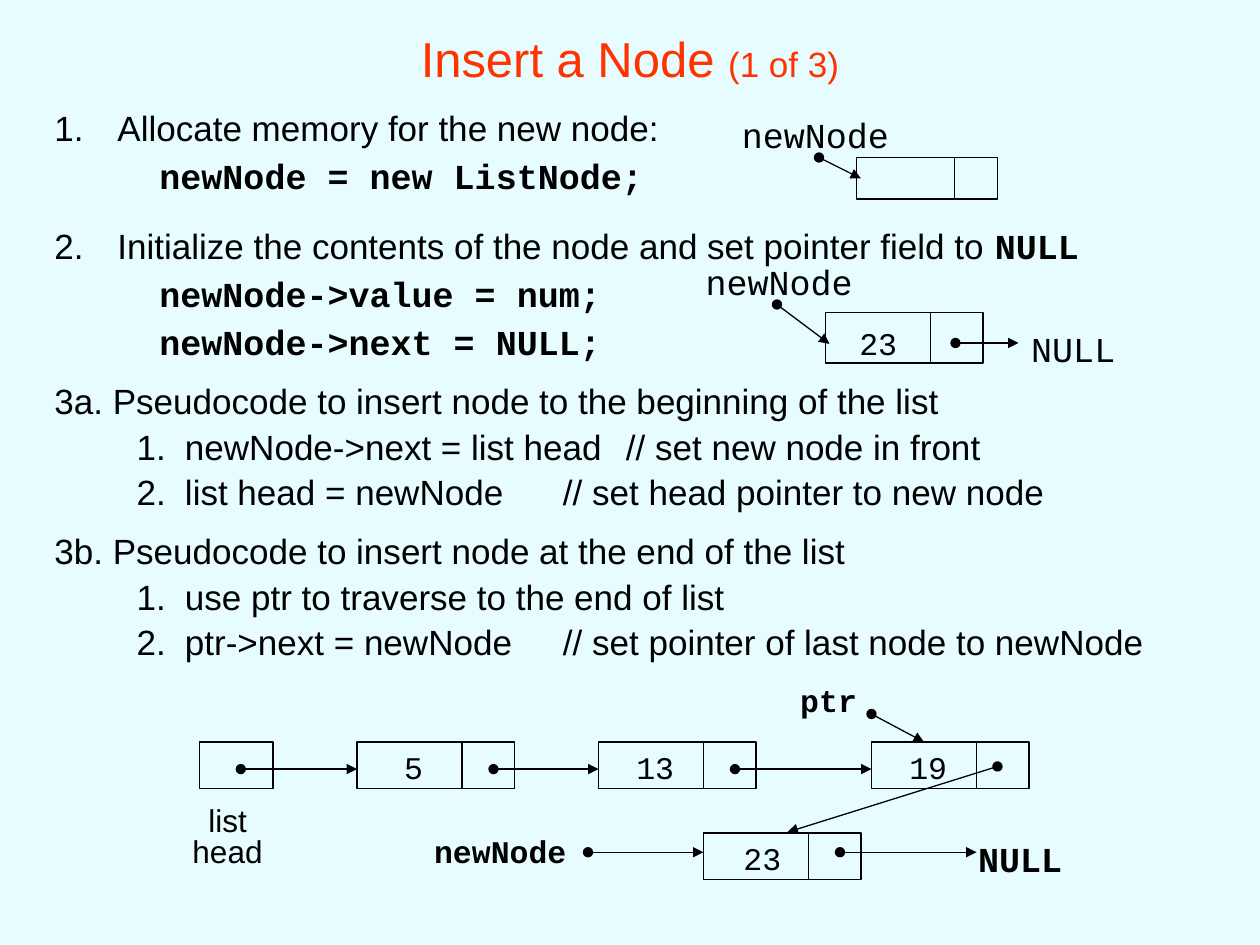
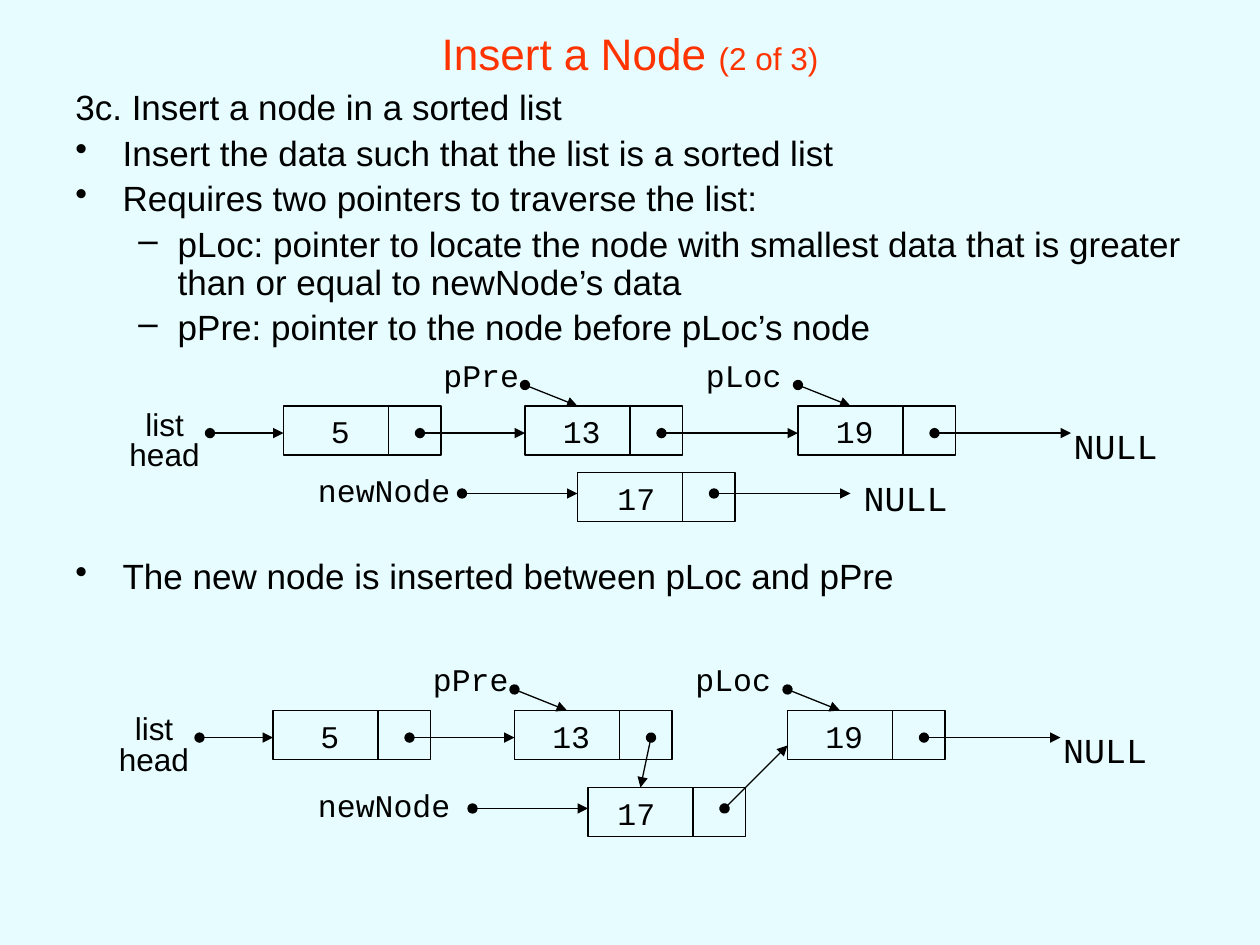
from dataclasses import dataclass
from typing import Optional

from lxml import etree
from pptx import Presentation
from pptx import util as u
from pptx.dml.color import RGBColor
from pptx.enum import shapes, text
from pptx.oxml import ns

COLORS = {"background": "E6FCFE", "title": "FF3300", "ink": "000000"}
SANS, MONO = "Arial", "Courier New"
LINK_OFFSET, LINK_CENTER, ARROW_DROP = 60, 78, 15.5
CHAIN_OFFSETS = (0, 138, 294)
NODE_VALUES = ("5", "13", "19")


@dataclass
class Run:
    text: str
    font: str = SANS
    size: float = 20
    bold: bool = False
    color: str = "ink"


@dataclass
class Line:
    runs: list[Run]
    margin: float = 0
    indent: float = 0
    before: float = 4.5
    spacing: float = 0.9
    bullet: str = ""
    number: int = 0
    tab: float = 0
    align: Optional[text.PP_ALIGN] = None


@dataclass
class Label:
    text: str
    left: float
    top: float
    width: float
    height: float = 24
    size: float = 18
    font: str = MONO
    bold: bool = False
    spacing: float = 0.8
    before: float = 0


@dataclass
class Node:
    left: float
    top: float
    height: float
    value: str = ""
    value_center: float = 32.4
    value_drop: float = 0
    width: float = 90
    link: float = LINK_OFFSET


def rgb(name: str) -> RGBColor:
    return RGBColor.from_string(COLORS[name])


def apply(target, values: dict) -> None:
    for name, value in values.items():
        setattr(target, name, value)


def add_run(paragraph, part: Run) -> None:
    run = paragraph.add_run()
    run.text = part.text
    apply(run.font, {"name": part.font, "size": u.Pt(part.size), "bold": part.bold})
    run.font.color.rgb = rgb(part.color)


def add_lines(frame, lines: list[Line]) -> None:
    for index, line in enumerate(lines):
        paragraph = frame.add_paragraph() if index else frame.paragraphs[0]
        apply(paragraph, {"line_spacing": line.spacing, "space_before": u.Pt(line.before),
                          "alignment": line.align})
        properties = paragraph._p.get_or_add_pPr()
        properties.set("marL", str(u.Pt(line.margin)))
        properties.set("indent", str(u.Pt(line.indent)))
        if line.number:
            etree.SubElement(properties, ns.qn("a:buAutoNum"), type="arabicPeriod",
                             startAt=str(line.number))
        elif line.bullet:
            etree.SubElement(properties, ns.qn("a:buChar"), char=line.bullet)
        else:
            etree.SubElement(properties, ns.qn("a:buNone"))
        if line.tab:
            tabs = etree.SubElement(properties, ns.qn("a:tabLst"))
            etree.SubElement(tabs, ns.qn("a:tab"), pos=str(u.Pt(line.tab)), algn="l")
        for part in line.runs:
            add_run(paragraph, part)


def add_title_slide(presentation, part: str, size: float, part_size: float, height: float):
    slide = presentation.slides.add_slide(presentation.slide_layouts[5])
    title = slide.shapes.title
    apply(title, {"left": u.Pt(36), "top": u.Pt(12), "width": u.Pt(648), "height": u.Pt(height)})
    apply(title.text_frame, {"vertical_anchor": text.MSO_ANCHOR.MIDDLE, "word_wrap": True,
                             "auto_size": text.MSO_AUTO_SIZE.NONE})
    add_lines(title.text_frame, [Line(
        [Run("Insert a Node ", size=size, color="title"), Run(part, size=part_size, color="title")],
        before=0, spacing=1.0, align=text.PP_ALIGN.CENTER)])
    return slide


def add_body(slide, left: float, top: float, width: float, height: float,
             lines: list[Line]) -> None:
    box = slide.shapes.add_textbox(u.Pt(left), u.Pt(top), u.Pt(width), u.Pt(height))
    box.text_frame.word_wrap = True
    add_lines(box.text_frame, lines)


def add_label(slide, label: Label) -> None:
    box = slide.shapes.add_textbox(u.Pt(label.left), u.Pt(label.top),
                                   u.Pt(label.width), u.Pt(label.height))
    box.text_frame.word_wrap = False
    add_lines(box.text_frame, [
        Line([Run(row, label.font, label.size, label.bold)], before=label.before,
             spacing=label.spacing, align=text.PP_ALIGN.CENTER)
        for row in label.text.split("\n")])


def add_null(slide, left: float, top: float, bold: bool = False) -> None:
    add_label(slide, Label("NULL", left, top, 63, size=20, bold=bold, spacing=1.2, before=2))


def add_list_head(slide, left: float, top: float) -> None:
    add_label(slide, Label("list\nhead", left, top, 68, 35, font=SANS))


def add_cell(slide, left: float, top: float, width: float, height: float) -> None:
    cell = slide.shapes.add_shape(shapes.MSO_SHAPE.RECTANGLE, u.Pt(left), u.Pt(top),
                                  u.Pt(width), u.Pt(height))
    cell.shadow.inherit = False
    cell.fill.background()
    cell.line.color.rgb = rgb("ink")
    cell.line.width = u.Pt(0.75)


def add_node(slide, node: Node) -> None:
    add_cell(slide, node.left, node.top, node.link, node.height)
    add_cell(slide, node.left + node.link, node.top, node.width - node.link, node.height)
    if node.value:
        add_label(slide, Label(node.value, node.left + node.value_center - 21.5,
                               node.top + node.value_drop, 43, spacing=1.0))


def add_arrow(slide, x1: float, y1: float, x2: float, y2: float) -> None:
    arrow = slide.shapes.add_connector(shapes.MSO_CONNECTOR.STRAIGHT, u.Pt(x1), u.Pt(y1),
                                       u.Pt(x2), u.Pt(y2))
    arrow.line.color.rgb = rgb("ink")
    arrow.line.width = u.Pt(0.75)
    outline = arrow.line._get_or_add_ln()
    etree.SubElement(outline, ns.qn("a:headEnd"), type="oval")
    etree.SubElement(outline, ns.qn("a:tailEnd"), type="triangle")
    etree.SubElement(arrow._element.spPr, ns.qn("a:effectLst"))


def add_chain(slide, left: float, top: float, height: float, links: int = 2) -> list[float]:
    lefts = [left + offset for offset in CHAIN_OFFSETS]
    for node_left, value in zip(lefts, NODE_VALUES):
        add_node(slide, Node(node_left, top, height, value))
    for start, end in list(zip(lefts, lefts[1:]))[:links]:
        add_arrow(slide, start + LINK_CENTER, top + ARROW_DROP, end, top + ARROW_DROP)
    return lefts


def add_sorted_list(slide, left: float, top: float, links: int = 2) -> None:
    first, middle, last = add_chain(slide, left, top, 28, links)
    level = top + ARROW_DROP
    add_list_head(slide, first - 102, top)
    add_arrow(slide, first - 42, level, first, level)
    add_arrow(slide, last + LINK_CENTER, level, last + 156, level)
    add_null(slide, last + 150, top + 2)
    for name, node_left, gap in (("pPre", middle, 54), ("pLoc", last, 60)):
        add_label(slide, Label(name, node_left - gap, top - 28, 58))
        add_arrow(slide, node_left, top - 12, node_left + 30, top)


def add_new_node(slide, left: float, top: float, value_center: float) -> None:
    add_node(slide, Node(left, top, 28, "17", value_center))
    add_label(slide, Label("newNode", 162, top, 115))
    add_arrow(slide, left - 66, top + 12, left, top + 12)


def item(content: str, number: int, before: float, *extra: Run) -> Line:
    return Line([Run(content), *extra], 36, -36, before, number=number)


def code(content: str) -> Line:
    return Line([Run(content, MONO, bold=True)], 60, before=6)


def heading(content: str, before: float = 12) -> Line:
    return Line([Run(content)], before=before)


def step(content: str, tab: float = 0) -> Line:
    return Line([Run(content)], 74.6, -27.6, tab=tab)


def bullet(content: str, before: float = 4.5) -> Line:
    return Line([Run(content)], 27, -27, before, bullet="•")


def dash(content: str) -> Line:
    return Line([Run(content)], 58.5, -22.5, bullet="–")


def build_ends_slide(presentation) -> None:
    slide = add_title_slide(presentation, "(1 of 3)", 28, 20, 42)
    add_body(slide, 24, 60, 672, 324, [
        item("Allocate memory for the new node:", 1, 0),
        code("newNode = new ListNode;"),
        item("Initialize the contents of the node and set pointer field to ", 2, 18,
             Run("NULL", MONO, bold=True)),
        code("newNode->value = num;"),
        code("newNode->next = NULL;"),
        heading("3a. Pseudocode to insert node to the beginning of the list"),
        step("1.\tnewNode->next = list head\t// set new node in front", 346),
        step("2.\tlist head = newNode\t// set head pointer to new node", 346),
        heading("3b. Pseudocode to insert node at the end of the list"),
        step("1.\tuse ptr to traverse to the end of list"),
        step("2.\tptr->next = newNode\t// set pointer of last node to newNode", 284),
    ])

    add_node(slide, Node(489.6, 90, 23.8, width=80.4, link=56))
    add_arrow(slide, 468, 90, 492, 102)
    add_label(slide, Label("newNode", 396, 66.2, 140, size=20))

    add_node(slide, Node(471.8, 178.6, 28.8, "23", 30, 2.8))
    add_arrow(slide, 444, 174, 474, 196.5)
    add_arrow(slide, 546, 196, 582, 196)
    add_label(slide, Label("newNode", 396, 150, 98.6, size=20))
    add_null(slide, 581.8, 178.6)

    top = 424
    first, _, last = add_chain(slide, 204, top, 26.6)
    add_cell(slide, 114, top, 42, 26.6)
    add_arrow(slide, 137.6, top + ARROW_DROP, first, top + ARROW_DROP)
    add_list_head(slide, 96, 458.6)
    add_label(slide, Label("ptr", 450, 390, 47, bold=True))
    add_arrow(slide, last, 408, last + 30, top)

    add_node(slide, Node(402, 476, 26.6, "23", 33.6))
    add_arrow(slide, last + LINK_CENTER - 6, 438, 450, 475.5)
    add_label(slide, Label("newNode", 240.5, 476, 90.7, bold=True))
    add_arrow(slide, 336, 487, 402, 487)
    add_arrow(slide, 480, 487, 558, 487)
    add_null(slide, 551.5, 470, True)


def build_sorted_slide(presentation) -> None:
    slide = add_title_slide(presentation, "(2 of 3)", 25.2, 18, 36)
    add_body(slide, 36, 48, 648, 434, [
        heading("3c. Insert a node in a sorted list", 0),
        bullet("Insert the data such that the list is a sorted list"),
        bullet("Requires two pointers to traverse the list:"),
        dash("pLoc: pointer to locate the node with smallest data that is greater "
             "than or equal to newNode’s data"),
        dash("pPre: pointer to the node before pLoc’s node"),
        bullet("The new node is inserted between pLoc and pPre", 120.5),
    ])
    add_sorted_list(slide, 162, 232)
    add_new_node(slide, 330, 270, 33.6)
    add_arrow(slide, 408, 282, 486, 282)
    add_null(slide, 486, 264)

    add_sorted_list(slide, 156, 406, links=1)
    add_new_node(slide, 336, 450, 27.6)
    add_arrow(slide, 372, 421.5, 366, 450)
    add_arrow(slide, 414, 462, 450, 426)


def main() -> None:
    presentation = Presentation()
    apply(presentation, {"slide_width": u.Pt(720), "slide_height": u.Pt(540)})
    background = presentation.slide_master.background.fill
    background.solid()
    background.fore_color.rgb = rgb("background")
    build_ends_slide(presentation)
    build_sorted_slide(presentation)
    presentation.save("out.pptx")


main()
